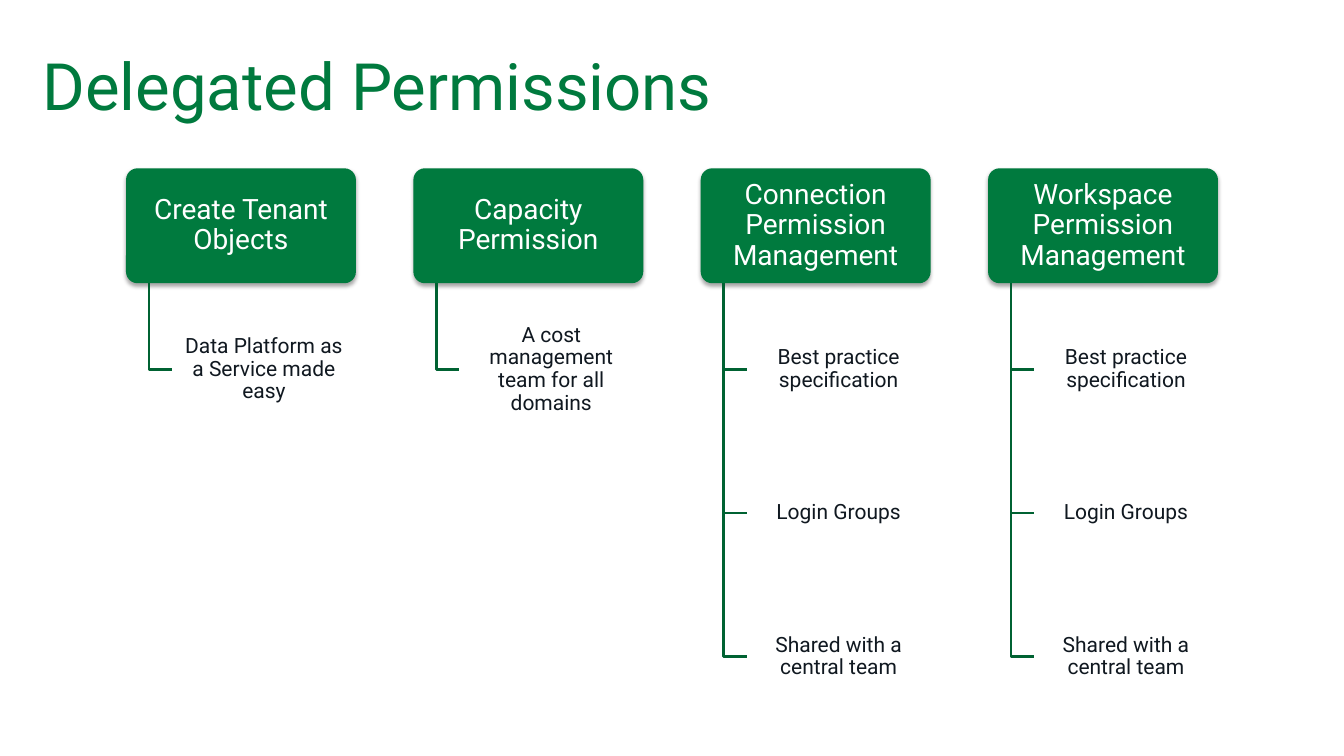
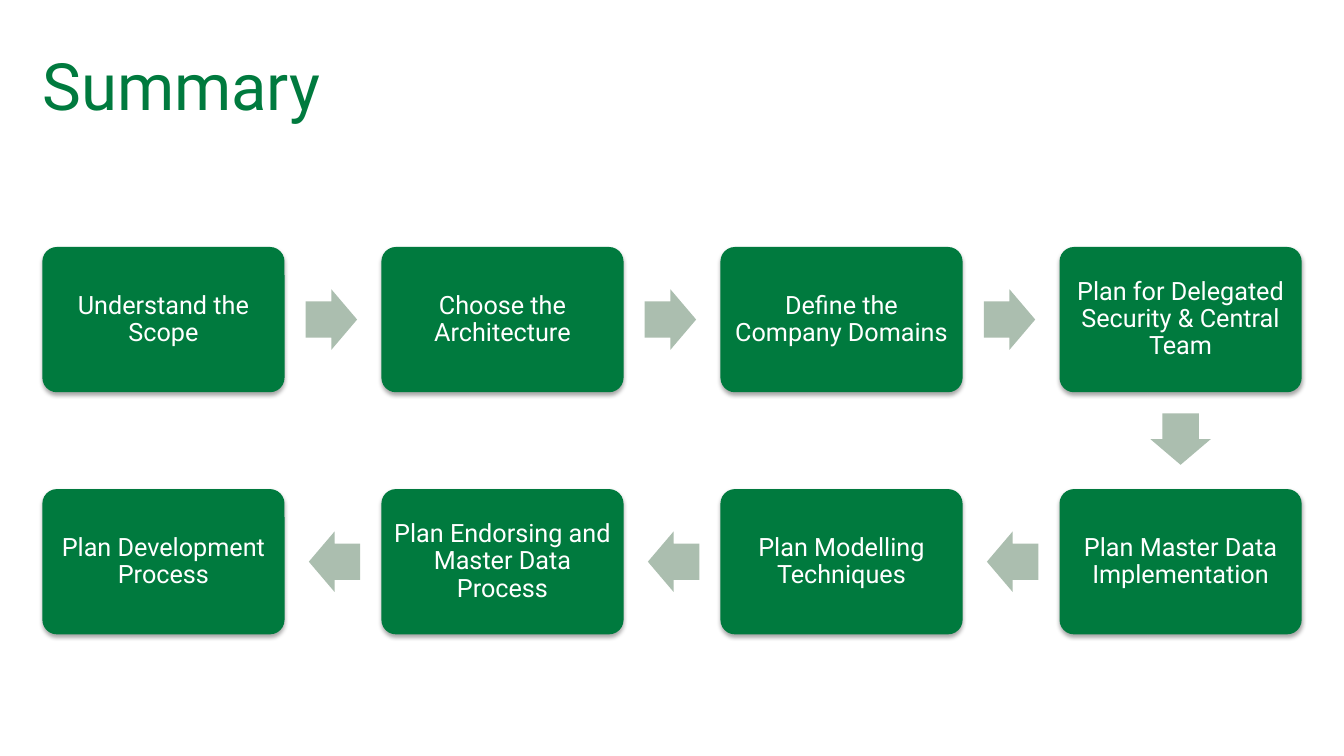
from dataclasses import dataclass
from itertools import pairwise

from lxml.etree import SubElement
from pptx import Presentation
from pptx.dml.color import RGBColor
from pptx.enum.shapes import MSO_SHAPE
from pptx.enum.text import MSO_ANCHOR, MSO_AUTO_SIZE, PP_ALIGN
from pptx.oxml.ns import qn
from pptx.util import Inches, Pt


@dataclass(frozen=True)
class Theme:
    font: str = "Roboto"
    green: RGBColor = RGBColor(0x00, 0x7A, 0x3E)
    dark_green: RGBColor = RGBColor(0x00, 0x62, 0x32)
    sage: RGBColor = RGBColor(0xAB, 0xBE, 0xAF)
    ink: RGBColor = RGBColor(0x10, 0x18, 0x20)
    white: RGBColor = RGBColor(0xFF, 0xFF, 0xFF)
    title_size: float = 46.6
    heading_size: float = 20
    step_size: float = 18
    item_size: float = 15
    branch_width: float = 2
    corner: float = 0.1


@dataclass(frozen=True)
class Box:
    """A rectangle in inches."""
    left: float
    top: float
    width: float
    height: float

    @property
    def center(self):
        return self.left + self.width / 2, self.top + self.height / 2

    @property
    def bottom(self):
        return self.top + self.height

    @property
    def inches(self):
        return [Inches(value) for value in (self.left, self.top, self.width, self.height)]


THEME = Theme()
SLIDE_WIDTH, SLIDE_HEIGHT = 13.33, 7.5
TITLE_BOX = Box(0.42, 0.42, 12.5, 0.83)
HIERARCHY_BOX = Box(1.25, 1.67, 10.83, 5.41)
PROCESS_BOX = Box(0.42, 2.45, 12.49, 3.84)

PERMISSION_DETAILS = ["Best practice specification", "Login Groups", "Shared with a central team"]
PERMISSIONS = {
    "Create Tenant Objects": ["Data Platform as a Service made easy"],
    "Capacity Permission": ["A cost management team for all domains"],
    "Connection Permission Management": PERMISSION_DETAILS,
    "Workspace Permission Management": PERMISSION_DETAILS,
}
SUMMARY_STEPS = [
    "Understand the Scope",
    "Choose the Architecture",
    "Define the Company Domains",
    "Plan for Delegated Security & Central Team",
    "Plan Master Data Implementation",
    "Plan Modelling Techniques",
    "Plan Endorsing and Master Data Process",
    "Plan Development Process",
]


def apply_format(target, values):
    for name, value in values.items():
        setattr(target, name, value)


def write_text(shape, text, size, color, align, inset_x=0, inset_y=0, line_spacing=None):
    frame = shape.text_frame
    apply_format(frame, {
        "text": text,
        "word_wrap": True,
        "auto_size": MSO_AUTO_SIZE.NONE,
        "vertical_anchor": MSO_ANCHOR.MIDDLE,
        "margin_left": Inches(inset_x),
        "margin_right": Inches(inset_x),
        "margin_top": Inches(inset_y),
        "margin_bottom": Inches(inset_y),
    })
    paragraph = frame.paragraphs[0]
    apply_format(paragraph, {"alignment": align, "line_spacing": line_spacing})
    apply_format(paragraph.font, {"name": THEME.font, "size": Pt(size)})
    paragraph.font.color.rgb = color


def add_plain_shape(slide, kind, box, color):
    shape = slide.shapes.add_shape(kind, *box.inches)
    shape.fill.solid()
    shape.fill.fore_color.rgb = color
    shape.line.fill.background()
    shape.shadow.inherit = False
    return shape


def add_soft_shadow(shape):
    effects = shape._element.spPr.find(qn("a:effectLst"))
    shadow = SubElement(effects, qn("a:outerShdw"), blurRad=str(Pt(3.1)), dist=str(Pt(1.8)),
                        dir="5400000", algn="ctr", rotWithShape="0")
    color = SubElement(shadow, qn("a:srgbClr"), val="000000")
    SubElement(color, qn("a:alpha"), val="35000")


def add_card(slide, box, text, size, fill, color, insets, raised=True):
    card = add_plain_shape(slide, MSO_SHAPE.ROUNDED_RECTANGLE, box, fill)
    card.adjustments[0] = THEME.corner
    if raised:
        add_soft_shadow(card)
    write_text(card, text, size, color, PP_ALIGN.CENTER, *insets, line_spacing=0.9)


def add_branch(slide, x, top, end_x, end_y):
    """Draw an elbow line down and then right."""
    builder = slide.shapes.build_freeform(Inches(x), Inches(top))
    builder.add_line_segments(
        [(Inches(x), Inches(end_y)), (Inches(end_x), Inches(end_y))], close=False)
    branch = builder.convert_to_shape()
    branch.fill.background()
    branch.line.color.rgb = THEME.dark_green
    branch.line.width = Pt(THEME.branch_width)
    branch.shadow.inherit = False


def add_hierarchy_column(slide, heading_box, heading, items):
    add_card(slide, heading_box, heading, THEME.heading_size, THEME.green, THEME.white,
             (0.04, 0.03))
    width, height = heading_box.width, heading_box.height
    for row, item in enumerate(items, start=1):
        item_box = Box(heading_box.left + 0.2 * width, heading_box.top + row * 1.25 * height,
                       0.8 * width, height)
        add_card(slide, item_box, item, THEME.item_size, THEME.white, THEME.ink,
                 (0.03, 0.02), raised=False)
        add_branch(slide, heading_box.left + 0.1 * width, heading_box.bottom,
                   item_box.left, item_box.center[1])


def add_hierarchy(slide, area, groups):
    gap = 0.25
    width = area.width / (len(groups) + gap * (len(groups) - 1))
    for column, (heading, items) in enumerate(groups.items()):
        heading_box = Box(area.left + column * (1 + gap) * width, area.top, width, width / 2)
        add_hierarchy_column(slide, heading_box, heading, items)


def add_step_arrow(slide, start, end):
    """Place an arrow just after the start box, pointing to the end box."""
    length, thickness, tail_gap = 0.51, 0.6, 0.21
    (start_x, start_y), (end_x, end_y) = start.center, end.center
    if start.top == end.top:
        direction = 1 if end_x > start_x else -1
        center_x = start_x + direction * (start.width / 2 + tail_gap + length / 2)
        center_y, rotation = start_y, 0 if direction > 0 else 180
    else:
        center_x, rotation = start_x, 90
        center_y = start.bottom + tail_gap + length / 2
    box = Box(center_x - length / 2, center_y - thickness / 2, length, thickness)
    arrow = add_plain_shape(slide, MSO_SHAPE.RIGHT_ARROW, box, THEME.sage)
    arrow.rotation = rotation
    arrow.adjustments[0], arrow.adjustments[1] = 0.6, 0.5


def add_snake_process(slide, area, steps, columns=4):
    """Lay steps out in rows that run right, then left."""
    gap = 0.4
    width = area.width / (columns + gap * (columns - 1))
    height = 0.6 * width
    boxes = []
    for index, step in enumerate(steps):
        row, column = divmod(index, columns)
        if row % 2:
            column = columns - 1 - column
        box = Box(area.left + column * (1 + gap) * width,
                  area.top + row * (height + gap * width), width, height)
        add_card(slide, box, step, THEME.step_size, THEME.green, THEME.white, (0.07, 0.07))
        boxes.append(box)
    for start, end in pairwise(boxes):
        add_step_arrow(slide, start, end)


def add_titled_slide(presentation, title):
    slide = presentation.slides.add_slide(presentation.slide_layouts.get_by_name("Title Only"))
    shape = slide.shapes.title
    apply_format(shape, dict(zip(("left", "top", "width", "height"), TITLE_BOX.inches)))
    write_text(shape, title, THEME.title_size, THEME.green, PP_ALIGN.LEFT)
    return slide


def main():
    presentation = Presentation()
    apply_format(presentation, {
        "slide_width": Inches(SLIDE_WIDTH),
        "slide_height": Inches(SLIDE_HEIGHT),
    })
    add_hierarchy(add_titled_slide(presentation, "Delegated Permissions"),
                  HIERARCHY_BOX, PERMISSIONS)
    add_snake_process(add_titled_slide(presentation, "Summary"), PROCESS_BOX, SUMMARY_STEPS)
    presentation.save("out.pptx")


if __name__ == "__main__":
    main()
